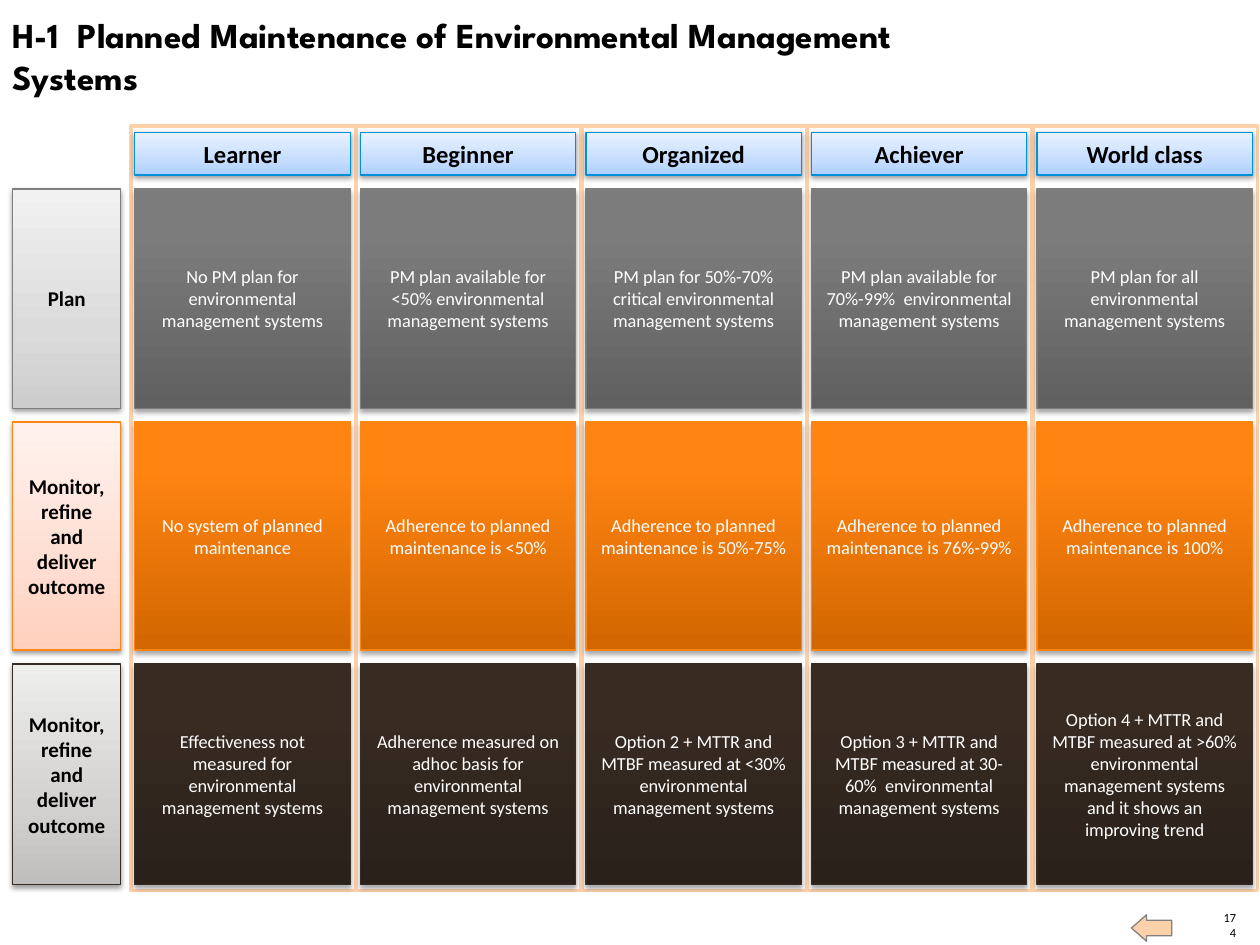
import pptx
import pptx.dml.color
import pptx.enum.shapes
import pptx.enum.text
import pptx.oxml
import pptx.oxml.ns
import pptx.util

Inches, Pt = pptx.util.Inches, pptx.util.Pt
Shapes = pptx.enum.shapes.MSO_SHAPE
Anchor = pptx.enum.text.MSO_ANCHOR
Align = pptx.enum.text.PP_ALIGN
NAMESPACE = pptx.oxml.ns.nsdecls("a")

PEACH = "FCD1AA"
LEVEL_LEFT, LEVEL_PITCH = 1.04, 1.79
FRAME_TOP, FRAME_WIDTH, FRAME_HEIGHT = 1, 1.78, 6.07
CELL_INSET, CELL_WIDTH = 0.03, 1.71
LABEL_LEFT, LABEL_WIDTH = 0.1, 0.86
HEADER_TOP, HEADER_HEIGHT = 1.05, 0.34

LEVELS = ["Learner", "Beginner", "Organized", "Achiever", "World class"]
HEADER_STOPS = [(0, "AECFFF"), (35, "C6DDFF"), (100, "E9F2FF")]
STAGES = [
    {
        "label": "Plan", "top": 1.5, "height": 1.74, "line": "7D7D7D",
        "label_stops": [(0, "CDCDCD"), (35, "DBDBDB"), (100, "F1F1F1")],
        "cell_stops": [(0, "606060"), (80, "7C7C7C"), (100, "7D7D7D")],
        "cells": [
            "No PM plan for environmental management systems",
            "PM plan available for <50% environmental management systems",
            "PM plan for 50%-70% critical environmental management systems",
            "PM plan available for 70%-99%  environmental management systems",
            "PM plan for all environmental management systems",
        ],
    },
    {
        "label": "Monitor, refine and deliver outcome",
        "top": 3.35, "height": 1.81, "line": "FF8615",
        "label_stops": [(0, "FFCFBD"), (35, "FFDDD1"), (100, "FFF2EE")],
        "cell_stops": [(0, "D26600"), (80, "FF8412"), (100, "FF8514")],
        "cells": [
            "No system of planned maintenance",
            "Adherence to planned maintenance is <50%",
            "Adherence to planned maintenance is 50%-75%",
            "Adherence to planned maintenance is 76%-99%",
            "Adherence to planned maintenance is 100%",
        ],
    },
    {
        "label": "Monitor, refine and deliver outcome",
        "top": 5.27, "height": 1.75, "line": "352C25",
        "label_stops": [(0, "C0BEBC"), (35, "D3D1D0"), (100, "EEEEED")],
        "cell_stops": [(0, "2A211B"), (80, "372B22"), (100, "372B22")],
        "cells": [
            "Effectiveness not measured for environmental management systems",
            "Adherence measured on adhoc basis for environmental management systems",
            "Option 2 + MTTR and MTBF measured at <30% environmental management systems",
            "Option 3 + MTTR and MTBF measured at 30-60%  environmental management systems",
            "Option 4 + MTTR and MTBF measured at >60% environmental management systems "
            "and it shows an improving trend",
        ],
    },
]


def color(hex_code):
    return pptx.dml.color.RGBColor.from_string(hex_code)


def write(shape, text, size, hex_code="000000", bold=False, font="Calibri",
          align=Align.CENTER, anchor=Anchor.MIDDLE):
    frame = shape.text_frame
    frame.text = text
    frame.word_wrap = True
    frame.vertical_anchor = anchor
    paragraph = frame.paragraphs[0]
    paragraph.alignment = align
    for span in paragraph.runs:
        span.font.name = font
        span.font.size = Pt(size)
        span.font.bold = bold
        span.font.color.rgb = color(hex_code)


def outlined_shape(page, kind, box, line, line_width=0.75, fill="FFFFFF"):
    shape = page.shapes.add_shape(kind, *map(Inches, box))
    shape.shadow.inherit = False
    shape.fill.solid()
    shape.fill.fore_color.rgb = color(fill)
    shape.line.color.rgb = color(line)
    shape.line.width = Pt(line_width)
    return shape


def set_gradient(shape, stops):
    """Shade the shape from its bottom edge to its top edge."""
    shape.fill.gradient()
    shape.fill.gradient_angle = 90
    stop_list = shape._element.spPr.find(".//" + pptx.oxml.ns.qn("a:gsLst"))
    for old_stop in list(stop_list):
        stop_list.remove(old_stop)
    for share, hex_code in stops:
        stop_list.append(pptx.oxml.parse_xml(
            f'<a:gs {NAMESPACE} pos="{share * 1000}"><a:srgbClr val="{hex_code}"/></a:gs>'))


def set_shadow(shape, opacity, distance):
    effects = shape._element.spPr.find(pptx.oxml.ns.qn("a:effectLst"))
    effects.append(pptx.oxml.parse_xml(
        f'<a:outerShdw {NAMESPACE} blurRad="{Pt(3.1)}" dist="{Pt(distance)}" '
        f'dir="5400000" rotWithShape="0"><a:srgbClr val="000000">'
        f'<a:alpha val="{opacity * 1000}"/></a:srgbClr></a:outerShdw>'))


def add_label(page, box, text, stops, line, size):
    label = outlined_shape(page, Shapes.RECTANGLE, box, line)
    set_gradient(label, stops)
    set_shadow(label, 38, 1.6)
    write(label, text, size, bold=True)


def add_cell(page, box, text, stops, line):
    cell = outlined_shape(page, Shapes.RECTANGLE, box, line)
    set_gradient(cell, stops)
    set_shadow(cell, 35, 1.8)
    write(cell, text, 10.5, "FFFFFF")


def add_matrix(page):
    lefts = [LEVEL_LEFT + LEVEL_PITCH * column for column in range(len(LEVELS))]
    for left in lefts:
        outlined_shape(page, Shapes.RECTANGLE,
                       (left, FRAME_TOP, FRAME_WIDTH, FRAME_HEIGHT), PEACH, 2)
    for stage in STAGES:
        top, height, line = stage["top"], stage["height"], stage["line"]
        add_label(page, (LABEL_LEFT, top, LABEL_WIDTH, height),
                  stage["label"], stage["label_stops"], line, 12)
        for left, text in zip(lefts, stage["cells"]):
            add_cell(page, (left + CELL_INSET, top, CELL_WIDTH, height),
                     text, stage["cell_stops"], line)
    for left, level in zip(lefts, LEVELS):
        add_label(page, (left + CELL_INSET, HEADER_TOP, CELL_WIDTH, HEADER_HEIGHT),
                  level, HEADER_STOPS, "008FDC", 14)


def add_title(page, box):
    title = page.shapes.add_textbox(*map(Inches, box))
    write(title, "H-1  Planned Maintenance of Environmental Management Systems", 20,
          bold=True, font="League Spartan", align=Align.LEFT, anchor=Anchor.TOP)


def add_footer(page, arrow_box, number_box):
    arrow = outlined_shape(page, Shapes.RIGHT_ARROW, arrow_box, "808080", fill=PEACH)
    arrow.rotation = 180
    arrow.adjustments[0], arrow.adjustments[1] = 0.59, 0.57
    number = page.shapes.add_textbox(*map(Inches, number_box))
    write(number, "174", 7.1, align=Align.RIGHT, anchor=Anchor.BOTTOM)
    frame = number.text_frame
    frame.margin_left = frame.margin_right = frame.margin_top = frame.margin_bottom = 0


def main():
    deck = pptx.Presentation()
    deck.slide_width, deck.slide_height = Inches(10), Inches(7.5)
    page = deck.slides.add_slide(deck.slide_layouts[6])
    add_footer(page, (8.98, 7.26, 0.32, 0.21), (9.69, 7.34, 0.12, 0.12))
    add_title(page, (0, 0.06, 7.48, 0.77))
    add_matrix(page)
    deck.save("out.pptx")


if __name__ == "__main__":
    main()
